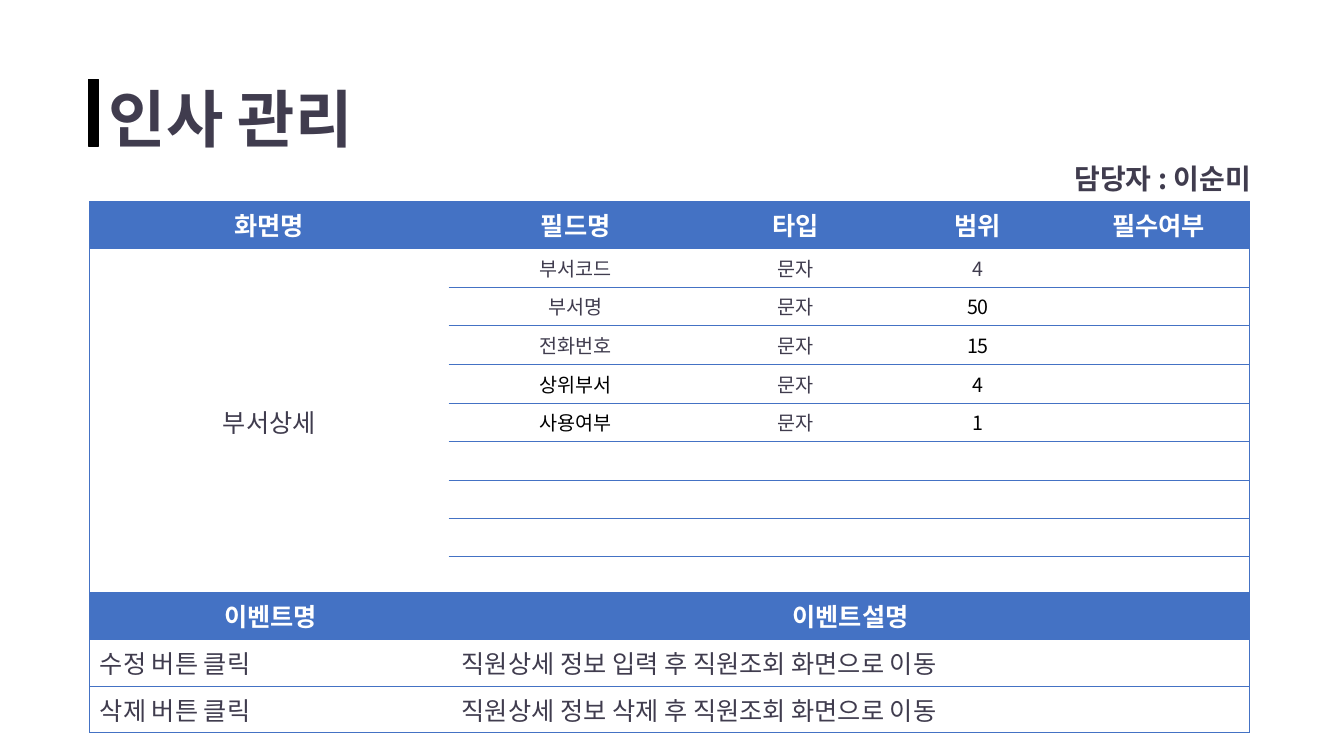
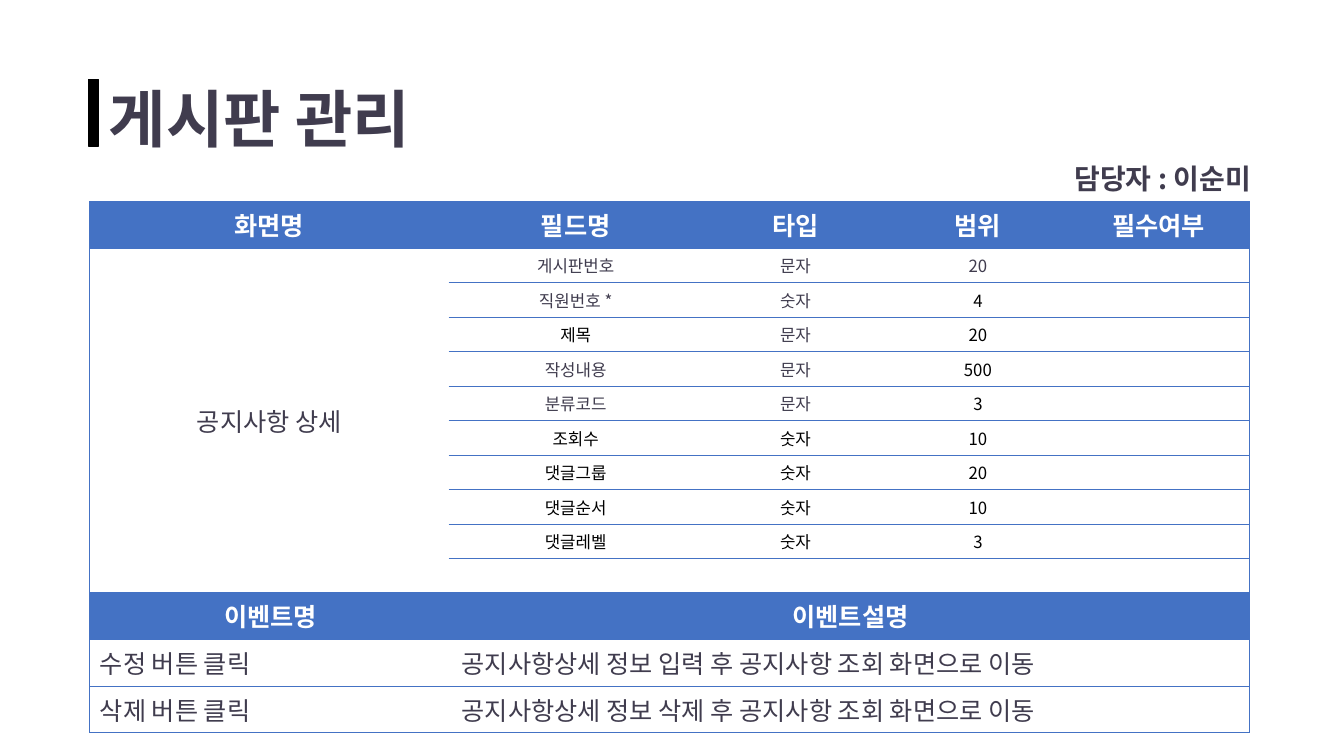
from dataclasses import dataclass
from typing import NamedTuple

from lxml import etree
from pptx import Presentation
from pptx.dml.color import RGBColor
from pptx.enum.shapes import MSO_SHAPE
from pptx.enum.text import MSO_ANCHOR, MSO_AUTO_SIZE, PP_ALIGN
from pptx.oxml.ns import qn
from pptx.slide import Slide
from pptx.table import Table, _Cell
from pptx.text.text import TextFrame
from pptx.util import Inches, Pt

LEFT, CENTER, RIGHT = PP_ALIGN.LEFT, PP_ALIGN.CENTER, PP_ALIGN.RIGHT
TOP, MIDDLE = MSO_ANCHOR.TOP, MSO_ANCHOR.MIDDLE
RECT = MSO_SHAPE.RECTANGLE
NO_FIT = MSO_AUTO_SIZE.NONE

COLORS = {"blue": "4472C4", "ink": "403C4E", "black": "000000", "white": "FFFFFF"}
FONT = "Noto Sans CJK KR"
OWNER = "담당자 : 이순미"
HEADS = ("화면명", "필드명", "타입", "범위", "필수여부")
EVENTS = ("이벤트명", "이벤트설명")
FIELD_COLS = (3.56, 2.52, 1.84, 1.78, 1.8)
EVENT_COLS = (3.59, 7.91)
TABLE_LEFT = 0.89
HEAD_ROW = 0.46


class Field(NamedTuple):
    name: str
    kind: str
    size: str
    dark: tuple[int, ...] = ()  # positions of the values set in black


@dataclass
class Screen:
    title: str
    name: str
    fields: list[Field]
    rows: int
    row: float
    size: int
    events: list[tuple[str, str]]


SCREENS = [
    Screen(
        "인사 관리", "부서상세",
        [
            Field("부서코드", "문자", "4"),
            Field("부서명", "문자", "50", (2,)),
            Field("전화번호", "문자", "15", (2,)),
            Field("상위부서", "문자", "4", (0, 2)),
            Field("사용여부", "문자", "1", (0, 2)),
        ],
        rows=9, row=0.38, size=14,
        events=[
            ("수정 버튼 클릭", "직원상세 정보 입력 후 직원조회 화면으로 이동"),
            ("삭제 버튼 클릭", "직원상세 정보 삭제 후 직원조회 화면으로 이동"),
        ],
    ),
    Screen(
        "게시판 관리", "공지사항 상세",
        [
            Field("게시판번호", "문자", "20"),
            Field("직원번호 *", "숫자", "4", (2,)),
            Field("제목", "문자", "20", (0, 2)),
            Field("작성내용", "문자", "500", (2,)),
            Field("분류코드", "문자", "3", (2,)),
            Field("조회수", "숫자", "10", (0, 1, 2)),
            Field("댓글그룹", "숫자", "20", (0, 1, 2)),
            Field("댓글순서", "숫자", "10", (0, 1, 2)),
            Field("댓글레벨", "숫자", "3", (0, 1, 2)),
        ],
        rows=10, row=0.34, size=12,
        events=[
            ("수정 버튼 클릭", "공지사항상세 정보 입력 후 공지사항 조회 화면으로 이동"),
            ("삭제 버튼 클릭", "공지사항상세 정보 삭제 후 공지사항 조회 화면으로 이동"),
        ],
    ),
]


def rgb(color: str) -> RGBColor:
    return RGBColor.from_string(COLORS[color])


def write(frame: TextFrame, text: str, *, size: float = 18, color: str = "ink",
          bold: bool = False, align: PP_ALIGN = LEFT, line: float = 0) -> None:
    para = frame.paragraphs[0]
    para.alignment = align
    if line:
        para.line_spacing = Pt(line)
    if not text:
        # An empty cell still needs its size, which governs the row height.
        etree.SubElement(para._p, qn("a:endParaRPr"), sz=str(size * 100))
        return
    run = para.add_run()
    run.text = text
    font = run.font
    font.size, font.bold, font.name = Pt(size), bold, FONT
    font.color.rgb = rgb(color)
    etree.SubElement(run._r.get_or_add_rPr(), qn("a:ea"), typeface=FONT)


def rule(cell: _Cell, sides: str) -> None:
    """Draw blue borders on the given sides (of L, R, T, B) and clear the rest."""
    props = cell._tc.get_or_add_tcPr()
    for side in "LRTB":
        edge = etree.SubElement(props, qn(f"a:ln{side}"), w=str(Pt(0.5)))
        if side in sides:
            fill = etree.SubElement(edge, qn("a:solidFill"))
            etree.SubElement(fill, qn("a:srgbClr"), val=COLORS["blue"])
        else:
            etree.SubElement(edge, qn("a:noFill"))


def add_grid(slide: Slide, top: float, cols: tuple[float, ...],
             rows: list[float]) -> Table:
    frame = slide.shapes.add_table(
        len(rows), len(cols), Inches(TABLE_LEFT), Inches(top),
        Inches(sum(cols)), Inches(sum(rows)))
    table = frame.table
    table.horz_banding = False
    for col, width in zip(table.columns, cols):
        col.width = Inches(width)
    for row, height in zip(table.rows, rows):
        row.height = Inches(height)
    return table


def dress(table: Table) -> None:
    """Set fills and borders: blue heading, white body, no inner uprights."""
    last = len(table.columns) - 1
    for r, row in enumerate(table.rows):
        for c, cell in enumerate(row.cells):
            sides = "" if cell.is_spanned else "TB"
            sides += "L" if c == 0 else ""
            sides += "R" if c == last else ""
            rule(cell, sides)
            cell.fill.solid()
            cell.fill.fore_color.rgb = rgb("white" if r else "blue")


def write_heads(table: Table, heads: tuple[str, ...]) -> None:
    for c, head in enumerate(heads):
        write(table.cell(0, c).text_frame, head, color="white", bold=True,
              align=CENTER)


def add_fields(slide: Slide, screen: Screen) -> None:
    rows = [HEAD_ROW] + [screen.row] * screen.rows
    table = add_grid(slide, 2, FIELD_COLS, rows)
    table.cell(1, 0).merge(table.cell(screen.rows, 0))
    dress(table)
    write_heads(table, HEADS)
    name = table.cell(1, 0)
    name.vertical_anchor = MIDDLE
    write(name.text_frame, screen.name, align=CENTER)
    blank = Field("", "", "")
    fields = screen.fields + [blank] * (screen.rows - len(screen.fields))
    for r, field in enumerate(fields, 1):
        for c, text in enumerate((*field[:3], "")):
            write(table.cell(r, c + 1).text_frame, text, size=screen.size,
                  color="black" if c in field.dark else "ink", align=CENTER)
        if r > 1:
            write(table.cell(r, 0).text_frame, "", size=screen.size)


def add_events(slide: Slide, events: list[tuple[str, str]]) -> None:
    table = add_grid(slide, 5.88, EVENT_COLS, [HEAD_ROW] * (len(events) + 1))
    dress(table)
    write_heads(table, EVENTS)
    for r, event in enumerate(events, 1):
        for c, text in enumerate(event):
            write(table.cell(r, c).text_frame, text)


def strip(frame: TextFrame) -> None:
    """Remove insets and fitting, and start the text at the top."""
    frame.margin_left = frame.margin_right = 0
    frame.margin_top = frame.margin_bottom = 0
    frame.word_wrap = True
    frame.auto_size = NO_FIT
    frame.vertical_anchor = TOP


def add_header(slide: Slide, text: str) -> None:
    title = slide.shapes.title
    title.left, title.top = Inches(1.08), Inches(0.77)
    title.width, title.height = Inches(6.2), Inches(0.78)
    strip(title.text_frame)
    write(title.text_frame, text, size=44.5, bold=True, line=55.5)

    owner = slide.shapes.add_textbox(
        Inches(10.11), Inches(1.16), Inches(2.3), Inches(0.78))
    strip(owner.text_frame)
    write(owner.text_frame, OWNER, size=20, bold=True, align=RIGHT, line=55.5)

    bar = slide.shapes.add_shape(
        RECT, Inches(0.88), Inches(0.79), Inches(0.1), Inches(0.66))
    bar.shadow.inherit = False
    bar.fill.solid()
    bar.fill.fore_color.rgb = rgb("black")
    bar.line.color.rgb = rgb("black")
    bar.line.width = Pt(1)


def main() -> None:
    deck = Presentation()
    deck.slide_width, deck.slide_height = Inches(13.33), Inches(7.5)
    layout = deck.slide_layouts.get_by_name("Title Only")
    for screen in SCREENS:
        slide = deck.slides.add_slide(layout)
        add_fields(slide, screen)
        add_events(slide, screen.events)
        add_header(slide, screen.title)
    deck.save("out.pptx")


if __name__ == "__main__":
    main()
